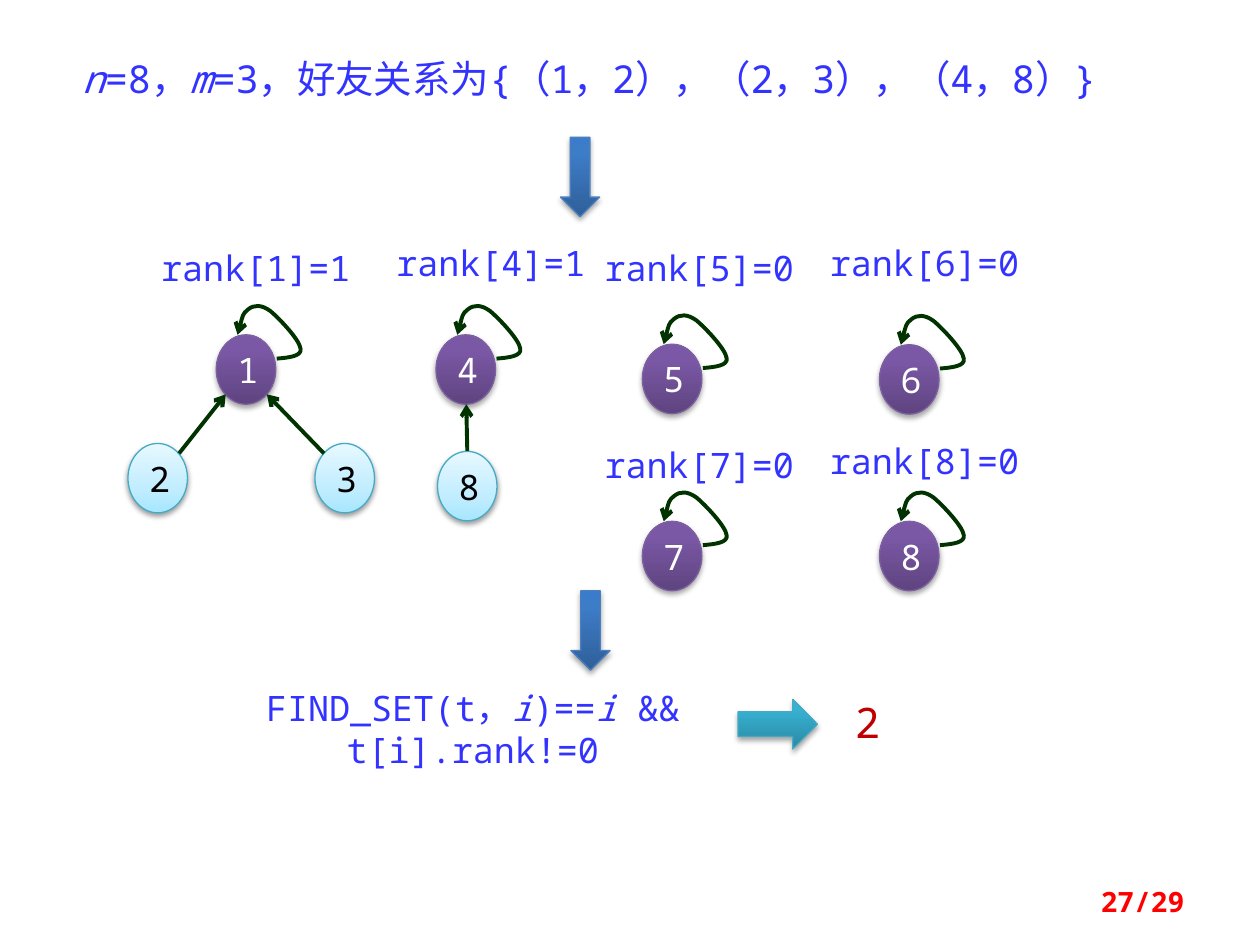
from lxml import etree
from pptx import Presentation
from pptx.dml.color import RGBColor
from pptx.enum.shapes import MSO_CONNECTOR, MSO_SHAPE
from pptx.enum.text import MSO_ANCHOR, MSO_AUTO_SIZE, PP_ALIGN
from pptx.oxml.ns import qn
from pptx.util import Cm, Pt

LEFT, CENTER, RIGHT = PP_ALIGN.LEFT, PP_ALIGN.CENTER, PP_ALIGN.RIGHT
OVAL = MSO_SHAPE.OVAL
DOWN, ACROSS = MSO_SHAPE.DOWN_ARROW, MSO_SHAPE.RIGHT_ARROW

FONT = "Noto Sans Mono"
COLORS = {"text": "3333FF", "edge": "003300", "result": "C00000",
          "page": "FF0000", "white": "FFFFFF", "black": "000000"}

# Gradient stops (bottom to top), outline, shadow opacity and distance
STYLES = {
    "root": ([(0, "5F4480"), (80, "7B58A6"), (100, "7C57A8")], "7D60A0", 35, 1.8),
    "child": ([(0, "A7E6FF"), (35, "C1EDFF"), (100, "E7F8FF")], "46AAC5", 38, 1.6),
    "step": ([(0, "2F5F99"), (80, "3D7CC7"), (100, "3A7CCB")], "4B7EBC", 35, 1.8),
    "answer": ([(0, "2A88A2"), (80, "37B1D2"), (100, "34B4D6")], "46AAC5", 35, 1.8),
}

NODE_W, NODE_H = 1.2, 1.4
LABEL_W, LABEL_H = 3.96, 1.12

# Self-loop of a root, relative to its top left corner: start, then Bezier triples
LOOP = [(1.22, 0.48),
        (1.47, 0.46), (1.73, 0.43), (1.7, 0.28),
        (1.68, 0.1), (1.27, -0.33), (1.09, -0.48),
        (0.91, -0.61), (0.76, -0.61), (0.64, -0.51),
        (0.53, -0.43), (0.48, -0.2), (0.43, 0)]

# Number, node position, rank, label position
ROOTS = [("1", 4.36, 6.75, 1, 3.18, 4.85), ("4", 8.79, 6.75, 1, 7.92, 4.75),
         ("5", 12.95, 6.94, 0, 12.12, 4.85), ("6", 17.73, 6.95, 0, 16.66, 4.75),
         ("7", 12.95, 10.51, 0, 12.12, 8.81), ("8", 17.73, 10.51, 0, 16.66, 8.74)]
# Number, node position, edge start and end
CHILDREN = [("2", 2.58, 8.94, (3.61, 9.14), (4.55, 7.95)),
            ("3", 6.35, 8.94, (6.53, 9.14), (5.38, 7.95)),
            ("8", 8.82, 9.1, (9.42, 9.09), (9.4, 8.15))]


def rgb(name):
    return RGBColor.from_string(COLORS[name])


def add_xml(parent, tag, **attrs):
    child = etree.SubElement(parent, qn(tag))
    for key, value in attrs.items():
        child.set(key, str(value))
    return child


def format_run(r, size, color):
    r.font.name = FONT
    r.font.size = Pt(size)
    r.font.color.rgb = rgb(color)


def add_text(shapes, box, runs, size=20, color="text", align=CENTER, side=0.25):
    """Text box; every second run is italic, starting with the second."""
    tb = shapes.add_textbox(*(Cm(v) for v in box))
    tf = tb.text_frame
    tf.word_wrap = True
    tf.auto_size = MSO_AUTO_SIZE.SHAPE_TO_FIT_TEXT
    tf.margin_left = tf.margin_right = Cm(side)
    p = tf.paragraphs[0]
    p.alignment = align
    for i, text in enumerate(runs):
        if text:
            r = p.add_run()
            r.text = text
            r.font.italic = i % 2 == 1
            format_run(r, size, color)
    return tb


def add_styled(shapes, kind, box, style):
    """Preset shape with a vertical gradient, outline and soft shadow."""
    stops, outline, opacity, distance = STYLES[style]
    sp = shapes.add_shape(kind, *(Cm(v) for v in box))
    sp.fill.gradient()
    sp.fill.gradient_angle = 90
    stop_list = sp._element.spPr.find(".//" + qn("a:gsLst"))
    for old in list(stop_list):
        stop_list.remove(old)
    for pos, color in stops:
        add_xml(add_xml(stop_list, "a:gs", pos=pos * 1000), "a:srgbClr", val=color)
    sp.line.color.rgb = RGBColor.from_string(outline)
    sp.line.width = Pt(0.75)
    sp.shadow.inherit = False
    effects = sp._element.spPr.find(qn("a:effectLst"))
    shadow = add_xml(effects, "a:outerShdw", blurRad=Pt(3.1), dist=Pt(distance),
                     dir=5400000, rotWithShape=0)
    color = add_xml(shadow, "a:srgbClr", val=COLORS["black"])
    add_xml(color, "a:alpha", val=opacity * 1000)
    return sp


def add_node(shapes, number, x, y, style, color):
    sp = add_styled(shapes, OVAL, (x, y, NODE_W, NODE_H), style)
    tf = sp.text_frame
    tf.text = number
    tf.vertical_anchor = MSO_ANCHOR.MIDDLE
    p = tf.paragraphs[0]
    p.alignment = CENTER
    format_run(p.runs[0], 20, color)


def format_edge(sp):
    sp.line.color.rgb = rgb("edge")
    sp.line.width = Pt(2.25)
    add_xml(sp.line._get_or_add_ln(), "a:tailEnd", type="arrow")
    add_xml(sp._element.spPr, "a:effectLst")


def add_edge(shapes, start, end):
    format_edge(shapes.add_connector(MSO_CONNECTOR.STRAIGHT,
                                     *(Cm(v) for v in start + end)))


def add_loop(shapes, x, y):
    points = [(Cm(x + dx), Cm(y + dy)) for dx, dy in LOOP]
    builder = shapes.build_freeform(*points[0])
    builder.add_line_segments(points[1:], close=False)
    sp = builder.convert_to_shape()
    # Turn each three line segments into one cubic curve
    outline = sp._element.spPr.find(".//" + qn("a:path"))
    segments = outline.findall(qn("a:lnTo"))
    for i in range(0, len(segments), 3):
        curve = add_xml(outline, "a:cubicBezTo")
        for segment in segments[i:i + 3]:
            curve.append(segment[0])
            outline.remove(segment)
    sp.fill.background()
    format_edge(sp)


def main():
    prs = Presentation()
    prs.slide_width, prs.slide_height = Cm(25.4), Cm(19.05)
    slide = prs.slides.add_slide(prs.slide_layouts[6])
    shapes = slide.shapes

    # Problem statement
    add_text(shapes, (1.4, 0.99, 21.44, 1.19),
             ["", "n", "=8，", "m", "=3，好友关系为{（1，2），（2，3），（4，8）}"],
             size=22, align=LEFT)
    add_styled(shapes, DOWN, (11.3, 2.77, 0.79, 1.6), "step")

    # Disjoint-set forest
    forest = shapes.add_group_shape().shapes
    for number, x, y, rank, label_x, label_y in ROOTS:
        add_node(forest, number, x, y, "root", "white")
        add_loop(forest, x, y)
        add_text(forest, (label_x, label_y, LABEL_W, LABEL_H),
                 [f"rank[{number}]={rank}"], side=0)
    for number, x, y, start, end in CHILDREN:
        add_node(forest, number, x, y, "child", "black")
        add_edge(forest, start, end)

    # Counting condition and result
    add_styled(shapes, DOWN, (11.51, 11.91, 0.79, 1.6), "step")
    answer = shapes.add_group_shape().shapes
    add_text(answer, (4.57, 13.72, 9.93, 1.96),
             ["FIND_SET(t，", "i", ")==", "i", " && t[i].rank!=0"])
    add_styled(answer, ACROSS, (14.88, 14.1, 1.6, 1), "answer")
    add_text(answer, (16.79, 13.92, 1.4, 1.27), ["2"], size=24, color="result")

    # Page number
    page = add_text(shapes, (18.21, 17.65, 5.92, 1.02), ["27/29"],
                    size=16, color="page", align=RIGHT)
    page.text_frame.vertical_anchor = MSO_ANCHOR.MIDDLE
    page.text_frame.auto_size = MSO_AUTO_SIZE.NONE
    page.text_frame.paragraphs[0].runs[0].font.bold = True

    prs.save("out.pptx")


if __name__ == "__main__":
    main()
